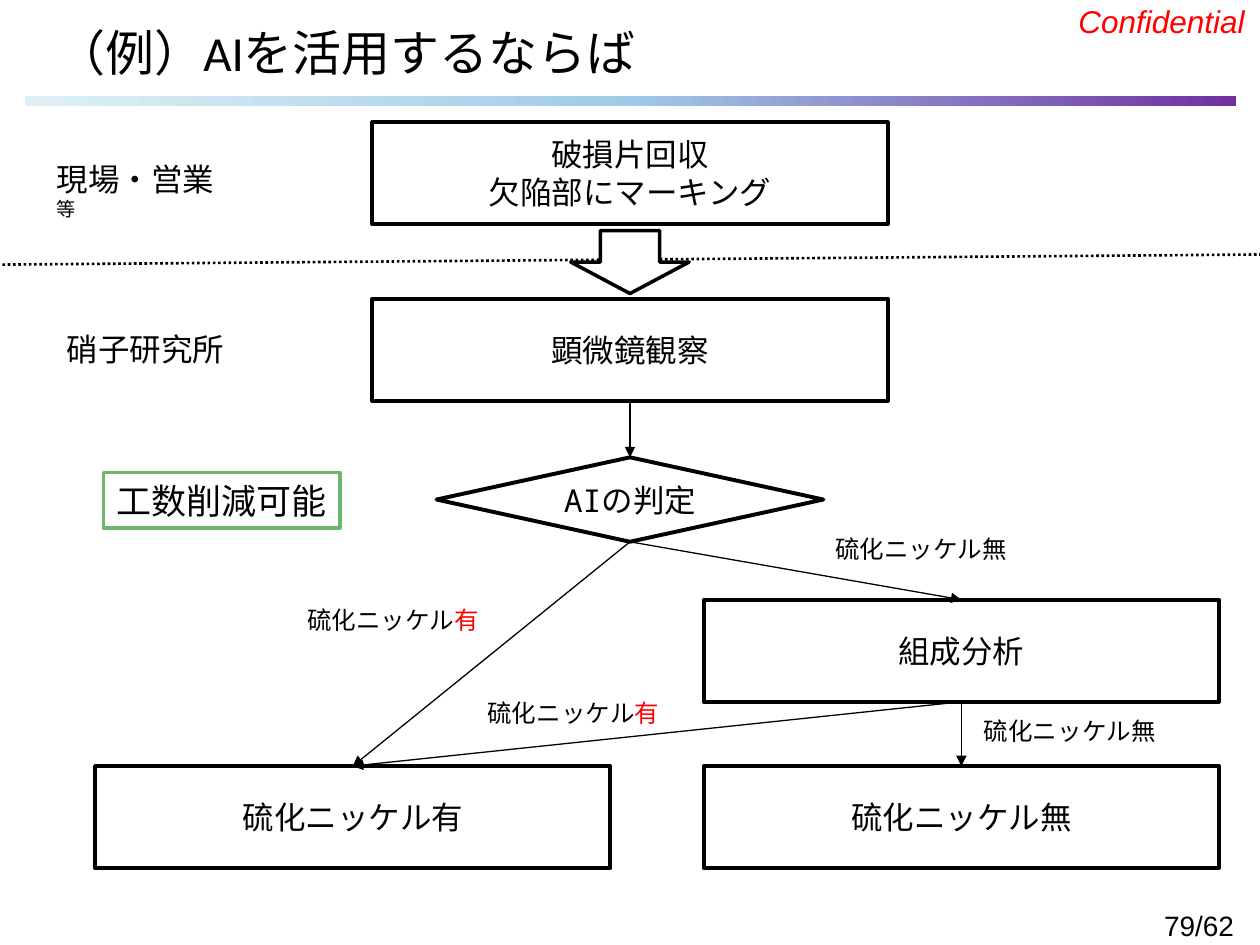
from copy import deepcopy

from lxml import etree
from pptx import Presentation
from pptx.dml.color import RGBColor
from pptx.enum.dml import MSO_LINE
from pptx.enum.shapes import MSO_CONNECTOR, MSO_SHAPE
from pptx.enum.text import MSO_ANCHOR, MSO_AUTO_SIZE, PP_ALIGN
from pptx.oxml.ns import qn
from pptx.util import Inches, Pt

RECTANGLE = MSO_SHAPE.RECTANGLE
DECISION = MSO_SHAPE.FLOWCHART_DECISION
DOWN_ARROW = MSO_SHAPE.DOWN_ARROW
STRAIGHT = MSO_CONNECTOR.STRAIGHT
DOTTED = MSO_LINE.ROUND_DOT
MIDDLE = MSO_ANCHOR.MIDDLE
CENTER = PP_ALIGN.CENTER
FIT_SHAPE = MSO_AUTO_SIZE.SHAPE_TO_FIT_TEXT

BLACK = RGBColor(0x00, 0x00, 0x00)
WHITE = RGBColor(0xFF, 0xFF, 0xFF)
RED = RGBColor(0xFF, 0x00, 0x00)
GREEN = RGBColor(0x6B, 0xB7, 0x6D)
PALE_BLUE = RGBColor(0xDF, 0xF0, 0xF5)
SKY_BLUE = RGBColor(0xA0, 0xCA, 0xE7)
PURPLE = RGBColor(0x70, 0x30, 0xA0)

ARIAL, CALIBRI = "Arial", "Calibri"
JAPANESE, MONO = "Noto Sans CJK JP", "Noto Sans Mono"

SLIDE_WIDTH, SLIDE_HEIGHT = Inches(10), Inches(7.5)
COLUMN, ROW = SLIDE_WIDTH / 100, SLIDE_HEIGHT / 75
LEFT_AXIS, MIDDLE_AXIS, RIGHT_AXIS = 28, 50, 76.3
BOX_SIZE = (40.9, 8.1)
DECISION_SIZE = (30.7, 6.7)
TOP, BOTTOM = 0, 2


def place(left, top, width, height):
    return (round(left * COLUMN), round(top * ROW),
            round(width * COLUMN), round(height * ROW))


def style_runs(paragraph, font_name, size, color):
    for run in paragraph.runs:
        run.font.size = Pt(size)
        run.font.name = font_name
        run.font.color.rgb = color
        etree.SubElement(run.font._element, qn("a:ea"), typeface=JAPANESE)


def add_shape(slide, preset, area, line_color, line_width):
    shape = slide.shapes.add_shape(preset, *place(*area))
    shape.shadow.inherit = False
    shape.fill.solid()
    shape.fill.fore_color.rgb = WHITE
    shape.line.color.rgb = line_color
    shape.line.width = Pt(line_width)
    return shape


def add_node(slide, text, axis, top, size=BOX_SIZE, preset=RECTANGLE):
    width, height = size
    node = add_shape(slide, preset, (axis - width / 2, top, width, height), BLACK, 2.25)
    node.fill.background()
    frame = node.text_frame
    frame.text = text
    frame.vertical_anchor = MIDDLE
    for paragraph in frame.paragraphs:
        paragraph.alignment = CENTER
        style_runs(paragraph, MONO, 18, BLACK)
    return node


def add_text(slide, text, area, size, font_name=ARIAL, color=BLACK, wrap=False):
    box = slide.shapes.add_textbox(*place(*area))
    box.text_frame.word_wrap = wrap
    box.text_frame.auto_size = FIT_SHAPE
    paragraph = box.text_frame.paragraphs[0]
    paragraph.text = text
    style_runs(paragraph, font_name, size, color)
    return paragraph


def add_ending(paragraph, text, font_name, size, color):
    paragraph.add_run().text = text
    ending = paragraph.runs[-1]
    ending.font.size = Pt(size)
    ending.font.name = font_name
    ending.font.color.rgb = color
    etree.SubElement(ending.font._element, qn("a:ea"), typeface=JAPANESE)


def add_line(slide, start, end, width):
    begin_x, begin_y = place(*start, 0, 0)[:2]
    end_x, end_y = place(*end, 0, 0)[:2]
    connector = slide.shapes.add_connector(STRAIGHT, begin_x, begin_y, end_x, end_y)
    connector.line.color.rgb = BLACK
    connector.line.width = Pt(width)
    etree.SubElement(connector._element.spPr, qn("a:effectLst"))
    return connector


def add_flow(slide, source, target):
    connector = add_line(slide, (0, 0), (0, 0), 0.75)
    connector.begin_connect(source, BOTTOM)
    connector.end_connect(target, TOP)
    etree.SubElement(connector.line._get_or_add_ln(), qn("a:tailEnd"), type="triangle")


def add_gradient_bar(slide):
    bar = add_shape(slide, RECTANGLE, (2, 7.6, 96.1, 0.8), BLACK, 1)
    bar.line.fill.background()
    bar.fill.gradient()
    bar.fill.gradient_angle = 0
    stops = bar._element.spPr.find(qn("a:gradFill")).find(qn("a:gsLst"))
    stops.insert(1, deepcopy(stops[0]))
    colors = (PALE_BLUE, SKY_BLUE, PURPLE)
    for index, (stop, color) in enumerate(zip(bar.fill.gradient_stops, colors)):
        stop.position = index / 2
        stop.color.rgb = color


def add_header(slide):
    add_gradient_bar(slide)
    add_text(slide, "79/62", (91.4, 71.6, 7.9, 3.7), 16)
    notice = add_text(slide, "Confidential", (84.6, -0.3, 15.3, 4), 18, color=RED)
    notice.runs[0].font.italic = True
    add_text(slide, "（例）AIを活用するならば", (3.5, 1.3, 93.2, 6.1), 28, CALIBRI, wrap=True)


def add_departments(slide):
    divider = add_line(slide, (0.2, 21), (100, 20.2), 1.5)
    divider.line.dash_style = DOTTED
    field = add_text(slide, "現場・営業", (3.5, 12.2, 14.9, 4), 18, JAPANESE, wrap=True)
    add_ending(field, "等", JAPANESE, 11, BLACK)
    add_text(slide, "硝子研究所", (4.3, 25.7, 14.6, 4), 18, JAPANESE)


def add_flowchart(slide):
    add_node(slide, "破損片回収\n欠陥部にマーキング", MIDDLE_AXIS, 9.7)
    microscope = add_node(slide, "顕微鏡観察", MIDDLE_AXIS, 23.7)
    judgement = add_node(slide, "AIの判定", MIDDLE_AXIS, 36.3, DECISION_SIZE, DECISION)
    analysis = add_node(slide, "組成分析", RIGHT_AXIS, 47.6)
    found = add_node(slide, "硫化ニッケル有", LEFT_AXIS, 60.8)
    absent = add_node(slide, "硫化ニッケル無", RIGHT_AXIS, 60.8)
    add_shape(slide, DOWN_ARROW, (45.3, 18.3, 9.4, 5), BLACK, 2)
    for source, target in ((microscope, judgement), (judgement, found),
                           (judgement, analysis), (analysis, found), (analysis, absent)):
        add_flow(slide, source, target)


def add_branch_labels(slide):
    for left, top in ((23.4, 47.5), (37.7, 54.9)):
        label = add_text(slide, "硫化ニッケル", (left, top, 15.8, 3.4), 14)
        add_ending(label, "有", ARIAL, 14, RED)
    for left, top in ((65.3, 41.9), (77.1, 56.3)):
        add_text(slide, "硫化ニッケル無", (left, top, 15.8, 3.4), 14)


def add_benefit(slide):
    benefit = add_shape(slide, RECTANGLE, (8.2, 37.5, 18.8, 4.4), GREEN, 2)
    frame = benefit.text_frame
    frame.text = "工数削減可能"
    frame.word_wrap = False
    frame.vertical_anchor = MIDDLE
    frame.paragraphs[0].alignment = CENTER
    style_runs(frame.paragraphs[0], JAPANESE, 20, BLACK)


def main():
    presentation = Presentation()
    presentation.slide_width = SLIDE_WIDTH
    presentation.slide_height = SLIDE_HEIGHT
    slide = presentation.slides.add_slide(presentation.slide_layouts[6])
    add_header(slide)
    add_departments(slide)
    add_flowchart(slide)
    add_branch_labels(slide)
    add_benefit(slide)
    presentation.save("out.pptx")


if __name__ == "__main__":
    main()
